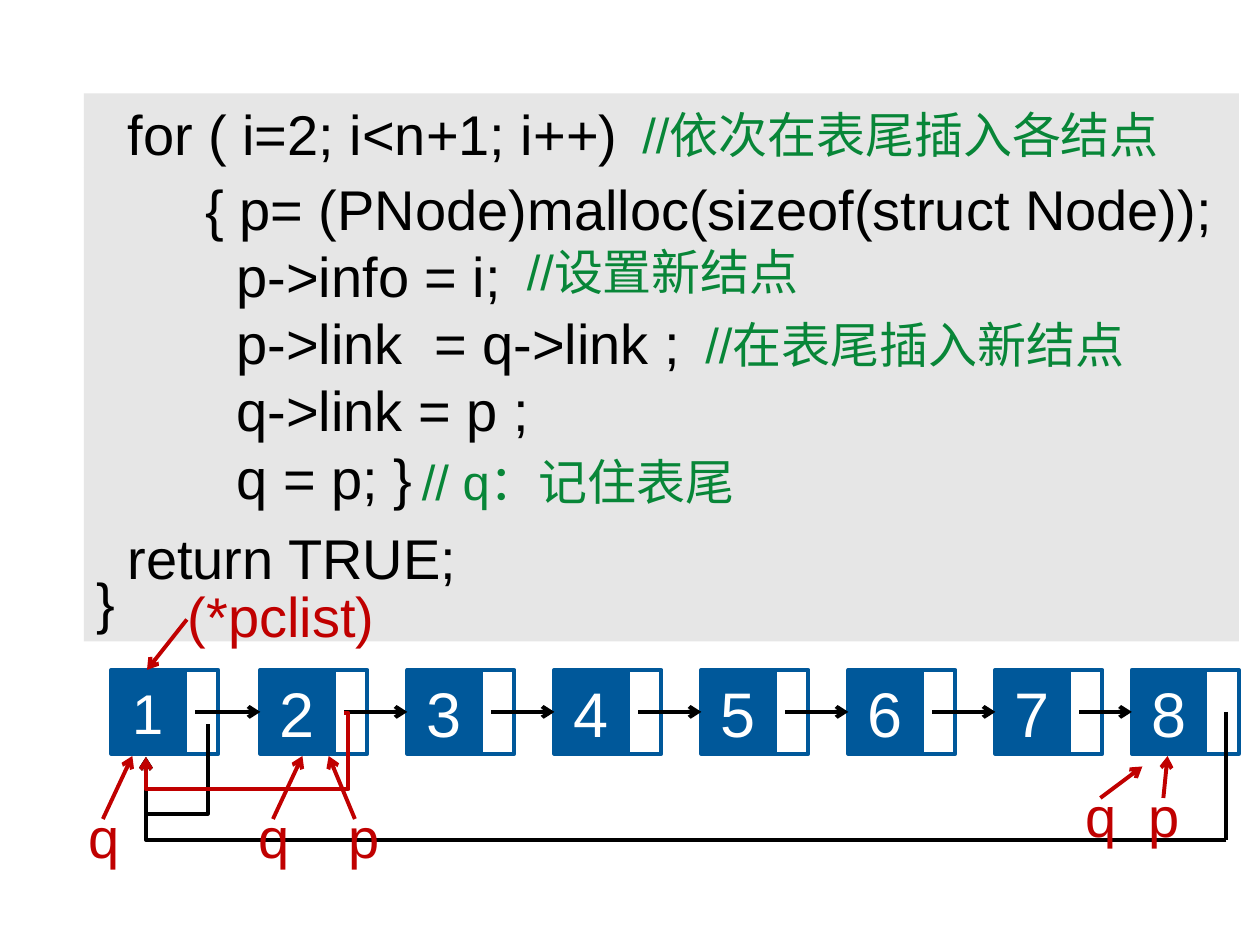
from dataclasses import dataclass
from typing import NamedTuple, Optional

from lxml import etree
from pptx import Presentation
from pptx import util as u
from pptx.dml.color import RGBColor
from pptx.enum import shapes, text
from pptx.oxml.ns import qn

COLS, ROWS = 120, 90  # grid over the slide


@dataclass(frozen=True)
class Theme:
    font: str = "Arial"
    panel: str = "E6E6E6"
    code: str = "000000"
    comment: str = "088638"
    node: str = "00589A"
    on_node: str = "FFFFFF"
    pointer: str = "C00000"
    code_size: int = 32
    comment_size: int = 28
    node_size: int = 36
    stroke: float = 2.25


class Point(NamedTuple):
    x: float
    y: float


class Box(NamedTuple):
    left: float
    top: float
    width: float
    height: float


class CodeLine(NamedTuple):
    wording: str
    indent: int  # in widths of a space
    spacing: float = 1.0


class Pointer(NamedTuple):
    name: str
    label: Box
    start: Point
    end: Point


THEME = Theme()
prs = Presentation()
prs.slide_width, prs.slide_height = u.Inches(10), u.Inches(7.5)
slide = prs.slides.add_slide(prs.slide_layouts[6])


def place(*lengths: float) -> list[int]:
    """Turn alternating columns and rows into slide lengths."""
    steps = (prs.slide_width / COLS, prs.slide_height / ROWS)
    return [round(n * steps[i % 2]) for i, n in enumerate(lengths)]


def color(value: str) -> RGBColor:
    return RGBColor.from_string(value)


def write(paragraph, wording: str, size: int, ink: str) -> None:
    run = paragraph.add_run()
    run.text = wording
    run.font.name, run.font.size = THEME.font, u.Pt(size)
    run.font.color.rgb = color(ink)


def rectangle(box: Box, fill: Optional[str] = None, line: Optional[str] = None):
    rect = slide.shapes.add_shape(shapes.MSO_SHAPE.RECTANGLE, *place(*box))
    rect.shadow.inherit = False
    if fill:
        rect.fill.solid()
        rect.fill.fore_color.rgb = color(fill)
    else:
        rect.fill.background()
    if line:
        rect.line.color.rgb = color(line)
        rect.line.width = u.Pt(THEME.stroke)
    else:
        rect.line.fill.background()
    return rect


def centered(shape, wording: str, size: int, ink: str, spacing: float = 1.0) -> None:
    frame = shape.text_frame
    frame.word_wrap = False
    frame.vertical_anchor = text.MSO_ANCHOR.MIDDLE
    paragraph = frame.paragraphs[0]
    paragraph.alignment = text.PP_ALIGN.CENTER
    paragraph.line_spacing = spacing
    write(paragraph, wording, size, ink)


def code_panel(box: Box, lines: list[CodeLine]) -> None:
    frame = rectangle(box, THEME.panel).text_frame
    frame.word_wrap = True
    frame.vertical_anchor = text.MSO_ANCHOR.TOP
    space = u.Pt(THEME.code_size * 0.278)
    for i, line in enumerate(lines):
        paragraph = frame.add_paragraph() if i else frame.paragraphs[0]
        paragraph.alignment = text.PP_ALIGN.LEFT
        paragraph.line_spacing = line.spacing
        paragraph._p.get_or_add_pPr().set("marL", str(round(line.indent * space)))
        write(paragraph, line.wording, THEME.code_size, THEME.code)


def comment(wording: str, left: float, top: float, width: float) -> None:
    frame = slide.shapes.add_textbox(*place(left, top, width, 6.4)).text_frame
    frame.word_wrap = True
    paragraph = frame.paragraphs[0]
    paragraph.line_spacing = 0.9
    before = etree.SubElement(paragraph._p.get_or_add_pPr(), qn("a:spcBef"))
    etree.SubElement(before, qn("a:spcPct")).set("val", "20000")
    write(paragraph, wording, THEME.comment_size, THEME.comment)


def connect(start: Point, end: Point, ink: str, arrow: bool = True,
            kind=shapes.MSO_CONNECTOR.STRAIGHT):
    link = slide.shapes.add_connector(kind, *place(*start, *end))
    link.line.color.rgb = color(ink)
    link.line.width = u.Pt(THEME.stroke)
    if arrow:
        etree.SubElement(link.line._ln, qn("a:tailEnd")).set("type", "arrow")
    etree.SubElement(link._element.spPr, qn("a:effectLst"))
    return link


def loop_back(start: Point, end: Point, ink: str, bends: tuple[float, ...] = ()) -> None:
    """Elbow arrow running leftwards: drawn end to start, then turned 180 degrees."""
    link = connect(end, start, ink, kind=shapes.MSO_CONNECTOR.ELBOW)
    props = link._element.spPr
    props.find(qn("a:xfrm")).set("rot", "10800000")
    geometry = props.find(qn("a:prstGeom"))
    geometry.set("prst", f"bentConnector{2 + len(bends)}")
    for i, share in enumerate(bends, 1):
        guide = etree.SubElement(geometry.find(qn("a:avLst")), qn("a:gd"))
        guide.set("name", f"adj{i}")
        guide.set("fmla", f"val {round(share * 100000)}")


def list_node(left: float, value: int, size: int) -> None:
    rectangle(Box(left + 4, NODE_TOP, 6.2, 8), line=THEME.node)
    info = rectangle(Box(left, NODE_TOP, 7, 8), THEME.node, THEME.node)
    centered(info, str(value), size, THEME.on_node)


def draw_pointer(pointer: Pointer) -> None:
    label = slide.shapes.add_textbox(*place(*pointer.label))
    centered(label, pointer.name, THEME.code_size, THEME.pointer, 0.9)
    connect(pointer.start, pointer.end, THEME.pointer)


# Code and its comments
code_panel(Box(8, 8.9, 110, 7.1), [CodeLine("for ( i=2; i<n+1; i++)", 2)])
code_panel(Box(8, 16, 110, 45.1), [
    CodeLine("{ p= (PNode)malloc(sizeof(struct Node));", 7),
    CodeLine("p->info = i;", 9),
    CodeLine("p->link  = q->link ;", 9),
    CodeLine("q->link = p ;", 9),
    CodeLine("q = p; }", 9),
    CodeLine("return TRUE;", 2, 1.2),
    CodeLine("}", 0, 0.6),
])
comment("//依次在表尾插入各结点", 60, 10, 60)
comment("//设置新结点", 49, 23, 37)
comment("//在表尾插入新结点", 66, 30, 52)
comment("// q：记住表尾", 39, 43, 48)

# Linked list: evenly spaced inner nodes between first and last
NODE_TOP, LINK_ROW = 63.8, 67.8
node_lefts = [10.6, *(24.8 + 14 * i for i in range(6)), 107.8]
for number, node_left in enumerate(node_lefts, 1):
    list_node(node_left, number, THEME.code_size if number == 1 else THEME.node_size)
for node_left, next_left in zip(node_lefts, node_lefts[1:]):
    connect(Point(node_left + 8, LINK_ROW), Point(next_left, LINK_ROW), THEME.code)

# Links back to the first node
first_node = Point(13.9, 72.1)
loop_back(Point(116.8, 80), first_node, THEME.code)
connect(Point(116.8, LINK_ROW), Point(116.8, 80), THEME.code, arrow=False)
loop_back(Point(19.8, 69), first_node, THEME.code, (0, 2.74))
loop_back(Point(32.8, 67.9), first_node, THEME.pointer, (-0.02, 1.73))

# Named pointers
for named in (
    Pointer("(*pclist)", Box(15.8, 55, 22, 8), Point(17.8, 59), Point(14, 63.8)),
    Pointer("q", Box(5.8, 76, 8.2, 8), Point(9.8, 78), Point(12.6, 72)),
    Pointer("q", Box(22, 76, 8.2, 8), Point(26, 78), Point(28.8, 72)),
    Pointer("p", Box(30.6, 76, 8.2, 8), Point(33.8, 78), Point(31.3, 72)),
    Pointer("q", Box(100.8, 74, 8.2, 8), Point(104.8, 76), Point(108.8, 73)),
    Pointer("p", Box(106.8, 74, 8.2, 8), Point(110.8, 76), Point(111.2, 72)),
):
    draw_pointer(named)

prs.save("out.pptx")
